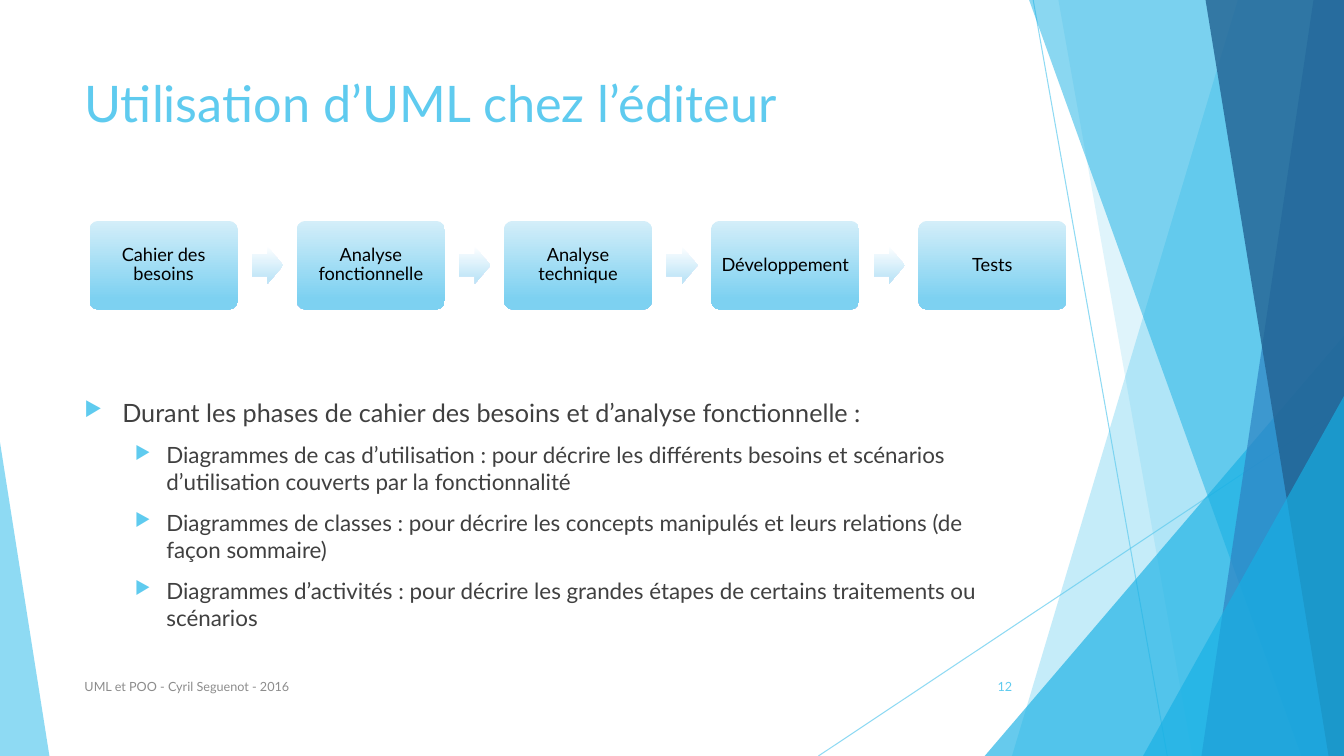
from lxml import etree
from pptx import Presentation
from pptx.dml.color import RGBColor
from pptx.enum.shapes import MSO_CONNECTOR, MSO_SHAPE
from pptx.enum.text import MSO_ANCHOR, PP_ALIGN
from pptx.oxml.ns import qn
from pptx.util import Pt

STRAIGHT = MSO_CONNECTOR.STRAIGHT
TRIANGLE = MSO_SHAPE.ISOSCELES_TRIANGLE
ROUNDED = MSO_SHAPE.ROUNDED_RECTANGLE
ARROW = MSO_SHAPE.RIGHT_ARROW
TOP, MIDDLE = MSO_ANCHOR.TOP, MSO_ANCHOR.MIDDLE
LEFT, CENTER, RIGHT = PP_ALIGN.LEFT, PP_ALIGN.CENTER, PP_ALIGN.RIGHT

SKY = RGBColor(0x5F, 0xCB, 0xEF)
CYAN = RGBColor(0x17, 0xB0, 0xE4)
BLUE = RGBColor(0x2E, 0x83, 0xC3)
NAVY = RGBColor(0x22, 0x62, 0x92)
BLACK = RGBColor(0, 0, 0)
DARK_GREY = RGBColor(0x40, 0x40, 0x40)
GREY = RGBColor(0x8C, 0x8C, 0x8C)
STEP_COLORS = (RGBColor(0xD4, 0xEE, 0xF9), RGBColor(0x7D, 0xD1, 0xF1))
ARROW_COLORS = (RGBColor(0xFC, 0xFE, 0xFF), RGBColor(0xBF, 0xE5, 0xF7))

WIDTH, HEIGHT = 960, 540
FONT = "Lato"

presentation = Presentation()
presentation.slide_width, presentation.slide_height = Pt(WIDTH), Pt(HEIGHT)
slide = presentation.slides.add_slide(presentation.slide_layouts[6])
shapes = slide.shapes


def set_opacity(properties, percent):
    color = properties.find(".//" + qn("a:srgbClr"))
    etree.SubElement(color, qn("a:alpha"), val=str(percent * 1000))


def write(shape, lines, size, color, alignment=LEFT, anchor=TOP):
    frame = shape.text_frame
    frame.word_wrap = True
    frame.vertical_anchor = anchor
    frame.text = "\n".join(lines)
    for paragraph in frame.paragraphs:
        paragraph.alignment = alignment
        font = paragraph.runs[0].font
        font.name, font.size, font.color.rgb = FONT, Pt(size), color
    return frame


# Thin decorative lines
for x1, y1, x2, y2 in [(738, 0, 833.8, HEIGHT), (WIDTH, 290.2, 584.6, HEIGHT)]:
    line = shapes.add_connector(STRAIGHT, Pt(x1), Pt(y1), Pt(x2), Pt(y2))
    line.line.color.rgb = SKY
    line.line.width = Pt(0.75)
    properties = line._element.spPr
    set_opacity(properties, 70)
    etree.SubElement(properties, qn("a:effectLst"))

# Translucent facets, back to front: bands give the top and bottom x of their
# slanted edge, triangles give left, top, width and the side of their apex
facets = [
    ((884.2, 722.9), SKY, 36),
    ((756, 851.8), SKY, 20),
    ((703.4, 239.8, 256.6, 1), CYAN, 66),
    ((735.1, 929.5), CYAN, 50),
    ((938.2, 858.2), BLUE, 70),
    ((861.1, 949), NAVY, 80),
    ((816.5, 283, 143.5, 1), CYAN, 66),
    ((0, 316, 35.3, 0), SKY, 70),
]
for geometry, color, opacity in facets:
    if len(geometry) == 2:
        top_x, bottom_x = geometry
        outline = shapes.build_freeform(Pt(top_x), 0)
        corners = [(WIDTH, 0), (WIDTH, HEIGHT), (bottom_x, HEIGHT)]
        outline.add_line_segments([(Pt(x), Pt(y)) for x, y in corners])
        facet = outline.convert_to_shape()
    else:
        left, top, width, apex = geometry
        facet = shapes.add_shape(TRIANGLE, Pt(left), Pt(top), Pt(width), Pt(HEIGHT - top))
        facet.adjustments[0] = apex
    facet.shadow.inherit = False
    facet.fill.solid()
    facet.fill.fore_color.rgb = color
    set_opacity(facet._element.spPr, opacity)
    facet.line.fill.background()

# Title, footer and slide number
texts = [
    ("Utilisation d’UML chez l’éditeur", 53.3, 48.2, 676.8, 103.7, 36, SKY, LEFT, TOP),
    ("UML et POO - Cyril Seguenot - 2016", 53.3, 475.9, 496, 28.8, 9, GREY, LEFT, MIDDLE),
    ("12", 676.1, 475.9, 54, 28.8, 9, SKY, RIGHT, MIDDLE),
]
for text, left, top, width, height, size, color, alignment, anchor in texts:
    box = shapes.add_textbox(Pt(left), Pt(top), Pt(width), Pt(height))
    write(box, [text], size, color, alignment, anchor)

# Bulleted body
body = shapes.add_textbox(Pt(53.3), Pt(280.1), Pt(676.8), Pt(195.8))
points = [
    "Durant les phases de cahier des besoins et d’analyse fonctionnelle :",
    "Diagrammes de cas d’utilisation : pour décrire les différents besoins et "
    "scénarios d’utilisation couverts par la fonctionnalité",
    "Diagrammes de classes : pour décrire les concepts manipulés et leurs relations "
    "(de façon sommaire)",
    "Diagrammes d’activités : pour décrire les grandes étapes de certains traitements "
    "ou scénarios",
]
for index, paragraph in enumerate(write(body, points, 16, DARK_GREY).paragraphs):
    paragraph.space_before = Pt(10)
    margin, indent = (Pt(58.5), Pt(-22.5)) if index else (Pt(27), Pt(-27))
    if index:
        paragraph.level = 1
    else:
        paragraph.runs[0].font.size = Pt(18)
    properties = paragraph._p.get_or_add_pPr()
    properties.set("marL", str(margin))
    properties.set("indent", str(indent))
    bullet_color = etree.SubElement(properties, qn("a:buClr"))
    etree.SubElement(bullet_color, qn("a:srgbClr"), val=str(SKY))
    etree.SubElement(properties, qn("a:buSzPct"), val="80000")
    etree.SubElement(properties, qn("a:buChar"), char="▶")

# Process steps, with an arrow between neighbours
steps = ["Cahier des besoins", "Analyse fonctionnelle", "Analyse technique",
         "Développement", "Tests"]
STEP_LEFT, STEP_PITCH = 64, 148
for index, label in enumerate(steps):
    left = STEP_LEFT + index * STEP_PITCH
    step = shapes.add_shape(ROUNDED, Pt(left), Pt(157.7), Pt(105.7), Pt(63.4))
    step.adjustments[0] = 0.1
    frame = write(step, [label], 13, BLACK, CENTER, MIDDLE)
    frame.margin_left = frame.margin_right = Pt(3.6)
    frame.paragraphs[0].line_spacing = 0.9
    parts = [(step, STEP_COLORS)]
    if index < len(steps) - 1:
        arrow = shapes.add_shape(ARROW, Pt(left + 116), Pt(176.4), Pt(22.4), Pt(26.2))
        arrow.adjustments[0], arrow.adjustments[1] = 0.6, 0.5
        parts.append((arrow, ARROW_COLORS))
    for shape, colors in parts:
        shape.shadow.inherit = False
        shape.line.fill.background()
        shape.fill.gradient()
        shape.fill.gradient_angle = 270
        for stop, color, position in zip(shape.fill.gradient_stops, colors, (0, 0.88)):
            stop.color.rgb = color
            stop.position = position

presentation.save("out.pptx")
